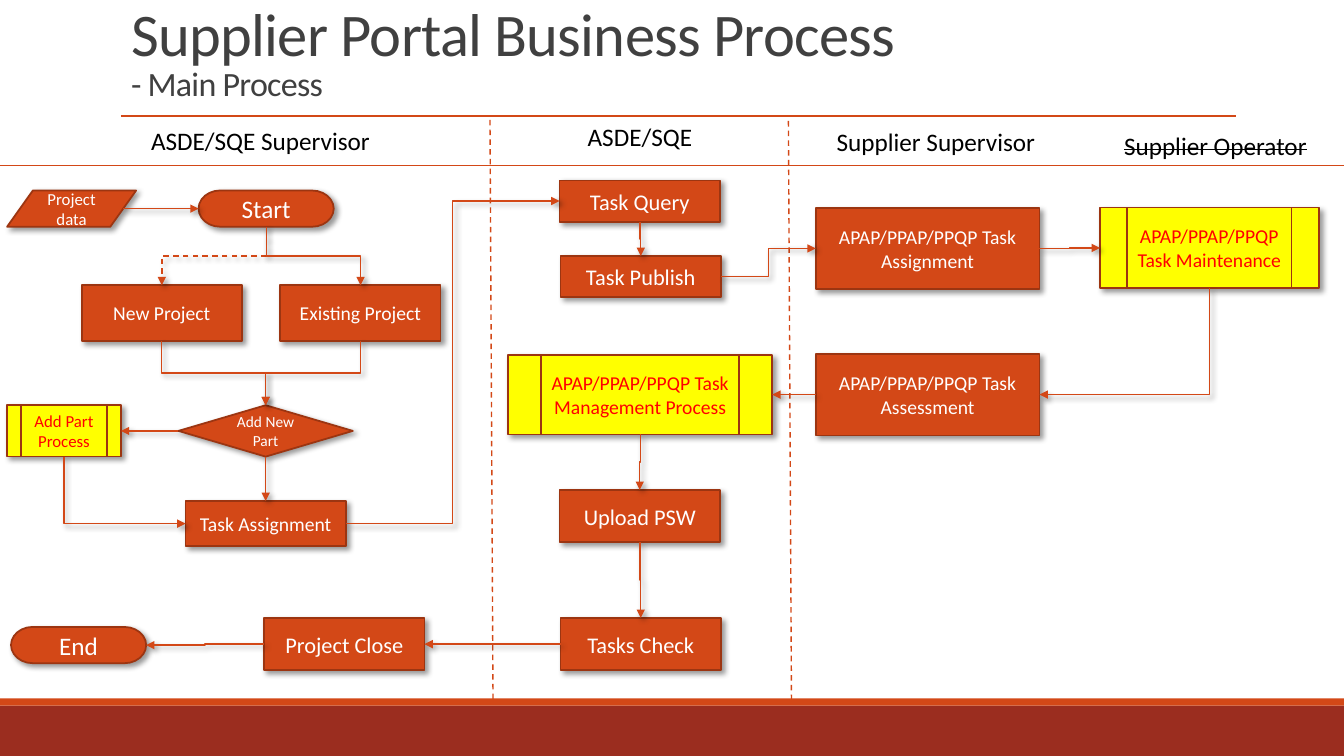
from lxml.etree import SubElement
from pptx import Presentation
from pptx.dml.color import RGBColor
from pptx.enum.dml import MSO_LINE
from pptx.enum.shapes import MSO_CONNECTOR as CXN, MSO_SHAPE as SHP
from pptx.enum.text import MSO_ANCHOR, MSO_AUTO_SIZE, PP_ALIGN
from pptx.oxml.ns import qn
from pptx.util import Pt

PX = 9144  # 100 px to the inch
ORANGE, BROWN, RUST = "D34817", "9C3511", "9B2D1F"
YELLOW, RED, WHITE, BLACK, GREY = "FFFF00", "FF0000", "FFFFFF", "000000", "404040"
TOP, LEFT, BOTTOM, RIGHT = range(4)


def rgb(color):
    return RGBColor.from_string(color)


def add_effects(s, shadow):
    """Append an effect list, with a soft shadow or empty, to a formatted outline."""
    effects = SubElement(s._element.spPr, qn("a:effectLst"))
    if shadow:
        outer = SubElement(effects, qn("a:outerShdw"), blurRad="50800", dist="38100",
                           dir="2700000", algn="tl", rotWithShape="0")
        color = SubElement(outer, qn("a:srgbClr"), val=BLACK)
        SubElement(color, qn("a:alpha"), val="40000")


prs = Presentation()
prs.slide_width, prs.slide_height = 1333 * PX, 750 * PX
slide = prs.slides.add_slide(prs.slide_layouts[5])
shapes = slide.shapes

# Footer bands
for y, h, color in ((700, 50, RUST), (693, 7, ORANGE)):
    s = shapes.add_shape(SHP.RECTANGLE, 0, y * PX, 1333 * PX, h * PX)
    s.shadow.inherit = False
    s.fill.solid()
    s.fill.fore_color.rgb = rgb(color)
    s.line.fill.background()

# Title
title = shapes.title
title.left, title.top, title.width, title.height = (v * PX for v in (120, 27, 1100, 81))
tf = title.text_frame
tf.auto_size, tf.vertical_anchor, tf.word_wrap = MSO_AUTO_SIZE.NONE, MSO_ANCHOR.BOTTOM, True
p = tf.paragraphs[0]
p.alignment, p.line_spacing = PP_ALIGN.LEFT, 0.85
for text, size in (("Supplier Portal Business Process", 43.2), ("- Main Process", 24.3)):
    if p.runs:
        p.add_line_break()
    r = p.add_run()
    r.text = text
    r.font.name, r.font.size, r.font.color.rgb = "Calibri", Pt(size), rgb(GREY)
    r._r.get_or_add_rPr().set("spc", "-50")

# Title rule, lane header rule and lane dividers
for x1, y1, x2, y2, dash in ((120, 115, 1226, 115, None),
                             (0, 164, 1333, 164, None),
                             (486, 119, 489, 695, MSO_LINE.DASH),
                             (782, 120, 785, 697, MSO_LINE.DASH)):
    c = shapes.add_connector(CXN.STRAIGHT, x1 * PX, y1 * PX, x2 * PX, y2 * PX)
    c.line.color.rgb, c.line.width, c.line.dash_style = rgb(ORANGE), Pt(1), dash
    add_effects(c, False)

# Lane names
for text, x, y, w, strike in (("ASDE/SQE Supervisor", 140, 119, 240, False),
                              ("ASDE/SQE", 573, 115, 125, False),
                              ("Supplier Supervisor", 820, 120, 219, False),
                              ("Supplier Operator", 1105, 124, 203, True)):
    tf = shapes.add_textbox(x * PX, y * PX, w * PX, 40 * PX).text_frame
    tf.word_wrap, tf.auto_size = False, MSO_AUTO_SIZE.SHAPE_TO_FIT_TEXT
    r = tf.paragraphs[0].add_run()
    r.text = text
    r.font.name, r.font.size, r.font.color.rgb = "Calibri", Pt(18), rgb(BLACK)
    if strike:
        r._r.get_or_add_rPr().set("strike", "sngStrike")

# Process steps: key, text, kind, left, top, width, height, text size
STEP, SUB, TERM = SHP.FLOWCHART_PROCESS, SHP.FLOWCHART_PREDEFINED_PROCESS, SHP.FLOWCHART_TERMINATOR
steps = (
    ("data", "Project data", SHP.FLOWCHART_DATA, 7, 189, 128, 36, 12),
    ("start", "Start", TERM, 197, 189, 134, 36, 18),
    ("new", "New Project", STEP, 81, 283, 159, 55, 14),
    ("existing", "Existing Project", STEP, 278, 283, 159, 55, 14),
    ("decision", "Add New Part", SHP.FLOWCHART_DECISION, 177, 402, 173, 51, 11),
    ("add", "Add Part Process", SUB, 7, 402, 113, 51, 12),
    ("assign", "Task Assignment", STEP, 184, 497, 159, 45, 14),
    ("query", "Task Query", STEP, 555, 179, 159, 41, 16),
    ("publish", "Task Publish", STEP, 556, 254, 159, 41, 16),
    ("supplier", "APAP/PPAP/PPQP Task Assignment", STEP, 809, 206, 222, 81, 14),
    ("maintain", "APAP/PPAP/PPQP Task Maintenance", SUB, 1091, 206, 217, 80, 14),
    ("assess", "APAP/PPAP/PPQP Task Assessment", STEP, 809, 351, 222, 81, 14),
    ("manage", "APAP/PPAP/PPQP Task Management Process", SUB, 504, 352, 262, 79, 14),
    ("upload", "Upload PSW", STEP, 555, 486, 159, 52, 16),
    ("check", "Tasks Check", STEP, 556, 613, 159, 52, 16),
    ("close", "Project Close", STEP, 262, 613, 159, 52, 16),
    ("end", "End", TERM, 11, 622, 134, 36, 18),
)
nodes = {}
for key, text, kind, x, y, w, h, size in steps:
    fill, ink = (YELLOW, RED) if kind == SUB else (ORANGE, WHITE)
    s = nodes[key] = shapes.add_shape(kind, x * PX, y * PX, w * PX, h * PX)
    s.fill.solid()
    s.fill.fore_color.rgb = rgb(fill)
    s.line.color.rgb, s.line.width = rgb(BROWN), Pt(1.25)
    add_effects(s, True)
    tf = s.text_frame
    tf.word_wrap, tf.vertical_anchor = True, MSO_ANCHOR.MIDDLE
    p = tf.paragraphs[0]
    p.alignment = PP_ALIGN.CENTER
    r = p.add_run()
    r.text = text
    r.font.name, r.font.size, r.font.color.rgb = "Calibri", Pt(size), rgb(ink)

# Arrows: from step and side, to step and side
arrows = (
    ("data", RIGHT, "start", LEFT), ("start", BOTTOM, "new", TOP),
    ("start", BOTTOM, "existing", TOP), ("new", BOTTOM, "decision", TOP),
    ("existing", BOTTOM, "decision", TOP), ("decision", BOTTOM, "assign", TOP),
    ("decision", LEFT, "add", RIGHT), ("add", BOTTOM, "assign", LEFT),
    ("assign", RIGHT, "query", LEFT), ("query", BOTTOM, "publish", TOP),
    ("publish", RIGHT, "supplier", LEFT), ("supplier", RIGHT, "maintain", LEFT),
    ("maintain", BOTTOM, "assess", RIGHT), ("assess", LEFT, "manage", RIGHT),
    ("manage", BOTTOM, "upload", TOP), ("upload", BOTTOM, "check", TOP),
    ("check", LEFT, "close", RIGHT), ("close", LEFT, "end", RIGHT),
)
for source, side, target, target_side in arrows:
    c = shapes.add_connector(CXN.ELBOW, 0, 0, 0, 0)
    if source == "data":  # the slanted side lies inside the frame
        c.begin_x, c.begin_y = 122 * PX, 207 * PX
    else:
        c.begin_connect(nodes[source], side)
    c.end_connect(nodes[target], target_side)
    if side == BOTTOM:  # turn the elbow so that it leaves downwards
        dx, dy = c.end_x - c.begin_x, c.end_y - c.begin_y
        mid_x, mid_y = (c.begin_x + c.end_x) // 2, (c.begin_y + c.end_y) // 2
        c.left, c.top = mid_x - dy // 2, mid_y - abs(dx) // 2
        c.width, c.height = dy, abs(dx)
        xfrm = c._element.spPr.find(qn("a:xfrm"))
        xfrm.set("rot", "16200000" if dx > 0 else "5400000")
        xfrm.set("flipH", "1" if dx > 0 else "0")
        if target_side != TOP:
            c._element.spPr.find(qn("a:prstGeom")).set("prst", "bentConnector2")
    c.line.color.rgb, c.line.width = rgb(ORANGE), Pt(1)
    if target == "new":
        c.line.dash_style = MSO_LINE.DASH
    SubElement(c.line._get_or_add_ln(), qn("a:tailEnd"), type="triangle")
    add_effects(c, True)

prs.save("out.pptx")
